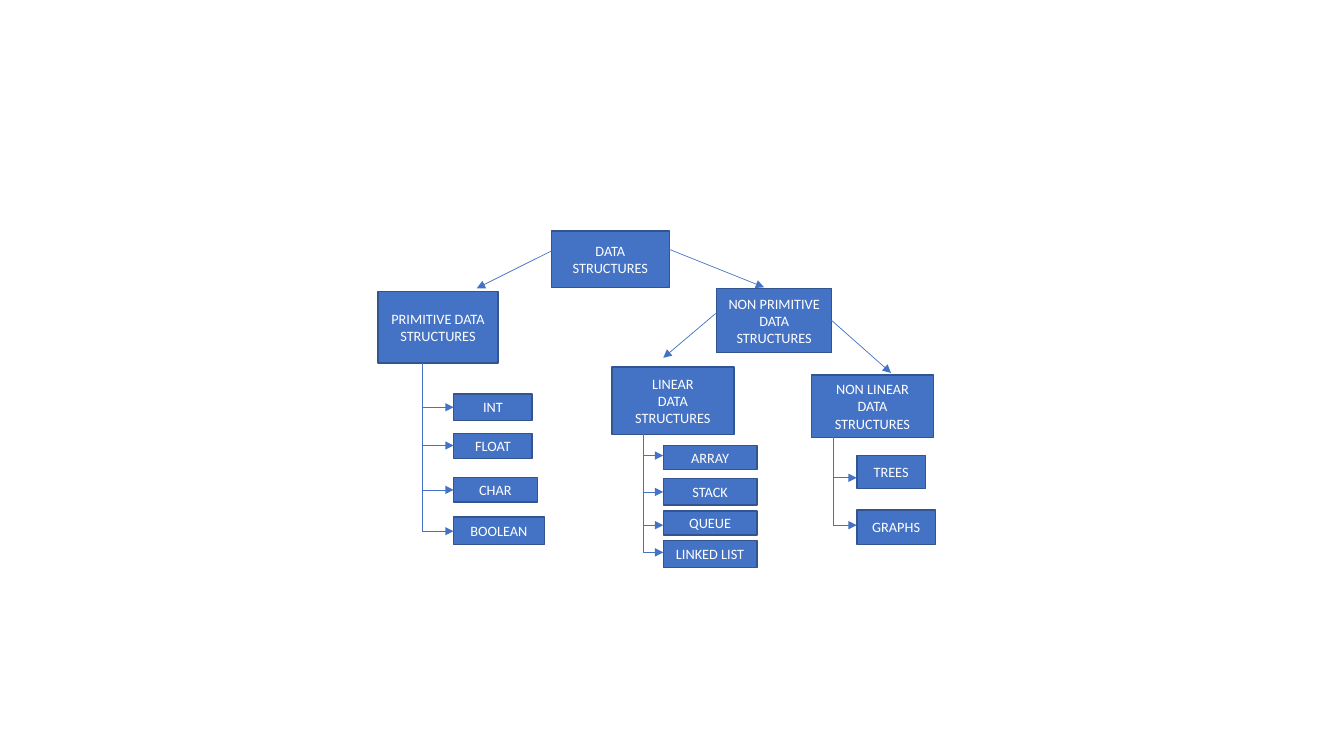
import pptx
import pptx.util
import pptx.dml.color
import pptx.enum.shapes
import pptx.enum.text
import pptx.oxml
import pptx.oxml.ns

RGBColor = pptx.dml.color.RGBColor
BLUE = RGBColor(0x44, 0x72, 0xC4)
DARK_BLUE = RGBColor(0x32, 0x54, 0x91)
WHITE = RGBColor(0xFF, 0xFF, 0xFF)

WIDTH, HEIGHT = pptx.util.Inches(13.33), pptx.util.Inches(7.5)
COLS, ROWS = 80, 45

FONT = {"name": "Calibri", "size": pptx.util.Pt(10.2)}
FRAME = {
    "word_wrap": True,
    "vertical_anchor": pptx.enum.text.MSO_ANCHOR.MIDDLE,
    "margin_top": 0,
    "margin_bottom": 0,
}

# Text, column, row, columns wide, rows high
CATEGORIES = [
    ("DATA STRUCTURES", 32.82, 13.74, 7.02, 3.36),
    ("PRIMITIVE DATA STRUCTURES", 22.5, 17.34, 7.14, 4.26),
    ("NON PRIMITIVE\nDATA STRUCTURES", 42.66, 17.16, 6.84, 3.84),
    ("LINEAR\nDATA STRUCTURES", 36.42, 21.84, 7.26, 4.02),
    ("NON LINEAR DATA STRUCTURES", 48.3, 22.32, 7.26, 3.72),
]

# Start column and row, end column and row
CATEGORY_ARROWS = [
    (32.82, 14.94, 28.38, 17.16),
    (39.78, 14.82, 45.48, 17.1),
    (42.6, 18.66, 39.48, 21.3),
    (49.44, 19.02, 53.04, 22.2),
]

# Trunk column, trunk top, leaf column,
# then leaves: text, row, columns wide, rows high, arrow row
BRANCHES = [
    (25.14, 21.6, 27, [
        ("INT", 23.46, 4.68, 1.56, 24.24),
        ("FLOAT", 25.8, 4.68, 1.5, 26.52),
        ("CHAR", 28.44, 4.98, 1.44, 29.16),
        ("BOOLEAN", 30.78, 5.4, 1.62, 31.62),
    ]),
    (38.28, 25.74, 39.48, [
        ("ARRAY", 26.52, 5.58, 1.44, 27.12),
        ("STACK", 28.5, 5.58, 1.56, 29.28),
        ("QUEUE", 30.42, 5.58, 1.44, 31.26),
        ("LINKED LIST", 32.16, 5.58, 1.62, 32.88),
    ]),
    (49.59, 25.74, 51, [
        ("TREES", 27.12, 4.08, 1.98, 28.44),
        ("GRAPHS", 30.36, 4.68, 2.04, 31.26),
    ]),
]


def on_grid(x, y):
    return round(x * WIDTH / COLS), round(y * HEIGHT / ROWS)


def set_all(target, values):
    for name, value in values.items():
        setattr(target, name, value)


def add_box(slide, text, x, y, w, h):
    sp = slide.shapes.add_shape(
        pptx.enum.shapes.MSO_SHAPE.RECTANGLE, *on_grid(x, y), *on_grid(w, h))
    sp.shadow.inherit = False
    sp.fill.solid()
    sp.fill.fore_color.rgb = BLUE
    sp.line.color.rgb = DARK_BLUE
    sp.line.width = pptx.util.Pt(1)
    tf = sp.text_frame
    set_all(tf, FRAME)
    tf.text = text
    for p in tf.paragraphs:
        p.alignment = pptx.enum.text.PP_ALIGN.CENTER
        for r in p.runs:
            set_all(r.font, FONT)
            r.font.color.rgb = WHITE


def add_line(slide, x1, y1, x2, y2, arrow=False):
    line = slide.shapes.add_connector(
        pptx.enum.shapes.MSO_CONNECTOR.STRAIGHT,
        *on_grid(x1, y1), *on_grid(x2, y2))
    line.line.color.rgb = BLUE
    line.line.width = pptx.util.Pt(0.5)
    if arrow:
        line.line._get_or_add_ln().append(pptx.oxml.parse_xml(
            f'<a:tailEnd {pptx.oxml.ns.nsdecls("a")} type="triangle"/>'))
    line._element.spPr.append(pptx.oxml.parse_xml(
        f'<a:effectLst {pptx.oxml.ns.nsdecls("a")}/>'))


def add_branch(slide, trunk_x, top, leaf_x, leaves):
    """Draw a vertical trunk with an arrow to each leaf box."""
    for text, y, w, h, arrow_y in leaves:
        add_box(slide, text, leaf_x, y, w, h)
        add_line(slide, trunk_x, arrow_y, leaf_x, arrow_y, arrow=True)
    last_arrow_y = leaves[-1][-1]
    add_line(slide, trunk_x, top, trunk_x, last_arrow_y)


def main():
    prs = pptx.Presentation()
    prs.slide_width, prs.slide_height = WIDTH, HEIGHT
    slide = prs.slides.add_slide(prs.slide_layouts[6])
    for category in CATEGORIES:
        add_box(slide, *category)
    for branch in BRANCHES:
        add_branch(slide, *branch)
    for ends in CATEGORY_ARROWS:
        add_line(slide, *ends, arrow=True)
    prs.save("out.pptx")


if __name__ == "__main__":
    main()
